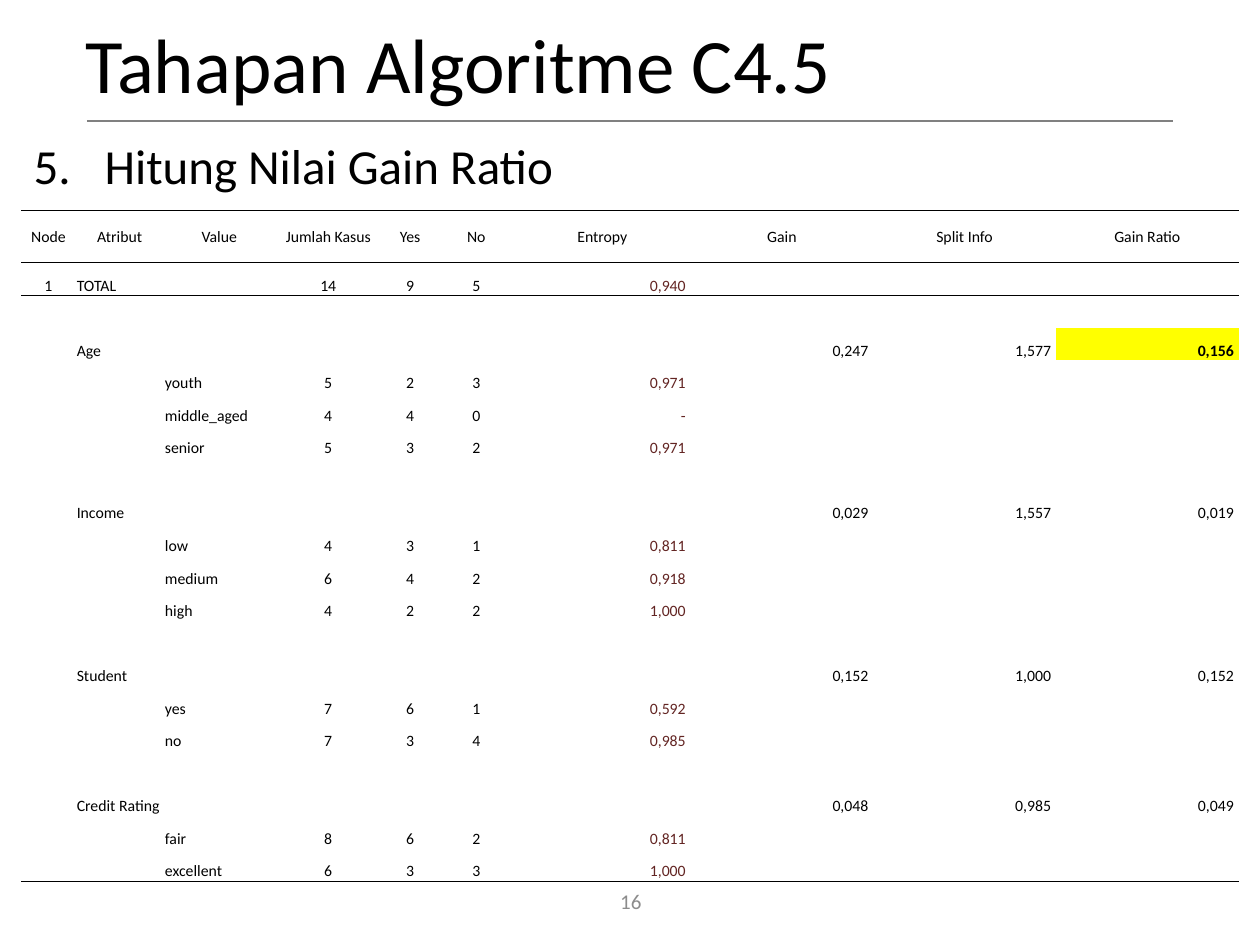
from lxml.etree import SubElement
from pptx import Presentation
from pptx.dml.color import RGBColor
from pptx.enum.shapes import MSO_CONNECTOR as Connector
from pptx.enum.text import MSO_ANCHOR as Anchor, PP_ALIGN as Align
from pptx.oxml.ns import qn
from pptx.util import Pt

BLACK, GREY, RULE, MAROON, YELLOW = "000000", "8C8C8C", "808080", "632523", "FFFF00"
NO_STYLE = "{2D5ABB26-0587-4C30-8999-92F81FD0307C}"

HEADINGS = ["Node", "Atribut", "Value", "Jumlah Kasus", "Yes", "No",
            "Entropy", "Gain", "Split Info", "Gain Ratio"]
WIDTHS = [31, 50.4, 63.4, 61.2, 32.4, 43.2, 100.8, 104.4, 104.4, 104.4]
ALIGNS = [Align.CENTER] + [Align.LEFT] * 2 + [Align.CENTER] * 3 + [Align.RIGHT] * 4
ENTROPY, RATIO = 6, 9
TOTAL = ["1", "TOTAL", "", "14", "9", "5", "0,940", "", "", ""]
# Attribute, (gain, split info, gain ratio), [(value, cases, yes, no, entropy)]
ATTRIBUTES = [
    ("Age", ("0,247", "1,577", "0,156"),
     [("youth", "5", "2", "3", "0,971"),
      ("middle_aged", "4", "4", "0", "-"),
      ("senior", "5", "3", "2", "0,971")]),
    ("Income", ("0,029", "1,557", "0,019"),
     [("low", "4", "3", "1", "0,811"),
      ("medium", "6", "4", "2", "0,918"),
      ("high", "4", "2", "2", "1,000")]),
    ("Student", ("0,152", "1,000", "0,152"),
     [("yes", "7", "6", "1", "0,592"),
      ("no", "7", "3", "4", "0,985")]),
    ("Credit Rating", ("0,048", "0,985", "0,049"),
     [("fair", "8", "6", "2", "0,811"),
      ("excellent", "6", "3", "3", "1,000")]),
]
BEST_RATIO = max(scores[-1] for _, scores, _ in ATTRIBUTES)


def color(hex_text):
    """Turn a hex string into a colour."""
    return RGBColor.from_string(hex_text)


def gain_rows():
    """List the table rows below the headings."""
    rows = [TOTAL]
    for attribute, scores, values in ATTRIBUTES:
        rows.append([""] * len(HEADINGS))
        rows.append(["", attribute] + [""] * 5 + list(scores))
        rows += [["", ""] + list(value) + [""] * 3 for value in values]
    return rows


class SlideBuilder:
    """Holds the style and the current slide."""

    font = "Calibri"
    cell_size = 9

    def __init__(self, slide):
        """Remember the slide to draw on."""
        self.slide = slide

    def styled_run(self, paragraph, words, size, ink=BLACK, bold=False):
        """Add one styled run to a paragraph."""
        run = paragraph.add_run()
        run.text = words
        run.font.name, run.font.size, run.font.bold = self.font, Pt(size), bold
        run.font.color.rgb = color(ink)

    def text(self, box, words, size, ink=BLACK, align=Align.LEFT,
             anchor=Anchor.MIDDLE, spacing=None):
        """Add a text box and return its paragraph."""
        frame = self.slide.shapes.add_textbox(*map(Pt, box)).text_frame
        frame.word_wrap = True
        frame.vertical_anchor = anchor
        paragraph = frame.paragraphs[0]
        paragraph.alignment, paragraph.line_spacing = align, spacing
        self.styled_run(paragraph, words, size, ink)
        return paragraph

    def numbered(self, box, words, size, start, indent):
        """Add a text box with an automatically numbered line."""
        paragraph = self.text(box, words, size, anchor=Anchor.TOP, spacing=0.9)
        paragraph.space_before = Pt(10)
        properties = paragraph._p.get_or_add_pPr()
        properties.set("marL", str(Pt(indent)))
        properties.set("indent", str(-Pt(indent)))
        SubElement(properties, qn("a:buAutoNum"), type="arabicPeriod", startAt=str(start))

    def line(self, start, end, ink, width):
        """Draw a straight line without a shadow."""
        rule = self.slide.shapes.add_connector(
            Connector.STRAIGHT, *map(Pt, (*start, *end)))
        rule.line.color.rgb = color(ink)
        rule.line.width = Pt(width)
        SubElement(rule._element.spPr, qn("a:effectLst"))

    def border(self, cell, side):
        """Draw a thin black border on one side of a cell."""
        edge = SubElement(cell._tc.get_or_add_tcPr(), qn("a:" + side), w=str(Pt(0.5)))
        fill = SubElement(edge, qn("a:solidFill"))
        SubElement(fill, qn("a:srgbClr"), val=BLACK)

    def cell(self, cell, words, align, anchor, ink=BLACK, marked=False):
        """Fill one table cell."""
        cell.margin_left = cell.margin_top = Pt(0.72)
        cell.margin_right = Pt(2.75 if align == Align.RIGHT else 0.72)
        cell.margin_bottom = 0
        cell.vertical_anchor = anchor
        if marked:
            cell.fill.solid()
            cell.fill.fore_color.rgb = color(YELLOW)
        else:
            cell.fill.background()
        paragraph = cell.text_frame.paragraphs[0]
        paragraph.alignment = align
        if words:
            self.styled_run(paragraph, words, self.cell_size, ink, marked)
        else:
            SubElement(paragraph._p, qn("a:endParaRPr"), sz=str(self.cell_size * 100))

    def table(self, left, top, header_height, row_height):
        """Add the gain ratio table."""
        rows = [HEADINGS] + gain_rows()
        last = len(rows) - 1
        height = header_height + last * row_height
        frame = self.slide.shapes.add_table(
            len(rows), len(WIDTHS), Pt(left), Pt(top), Pt(sum(WIDTHS)), Pt(height))
        grid = frame.table
        grid.first_row = grid.horz_banding = False
        grid._tbl.tblPr.find(qn("a:tableStyleId")).text = NO_STYLE
        for column, width in zip(grid.columns, WIDTHS):
            column.width = Pt(width)
        for r, row in enumerate(rows):
            grid.rows[r].height = Pt(row_height if r else header_height)
            for c, words in enumerate(row):
                cell = grid.cell(r, c)
                if r < 2:
                    self.border(cell, "lnT")
                if r in (0, last):
                    self.border(cell, "lnB")
                if r == 0:
                    self.cell(cell, words, Align.CENTER, Anchor.MIDDLE)
                else:
                    self.cell(cell, words, ALIGNS[c], Anchor.BOTTOM,
                              MAROON if c == ENTROPY else BLACK,
                              c == RATIO and words == BEST_RATIO)


def main():
    """Build and save the slide."""
    deck = Presentation()
    deck.slide_width, deck.slide_height = Pt(720), Pt(540)
    page = SlideBuilder(deck.slides.add_slide(deck.slide_layouts[6]))
    page.text((279.5, 500.5, 162, 28.8), "16", 12, GREY, Align.CENTER)
    page.line((49.7, 69), (670.3, 69), RULE, 1)
    page.text((41.8, -5.8, 648, 90), "Tahapan Algoritme C4.5", 44, spacing=0.9)
    page.numbered((12.2, 77.8, 648, 390), "Hitung Nilai Gain Ratio", 28, start=5, indent=40.5)
    page.table(12.2, 120.2, header_height=30, row_height=18.6)
    deck.save("out.pptx")


main()
